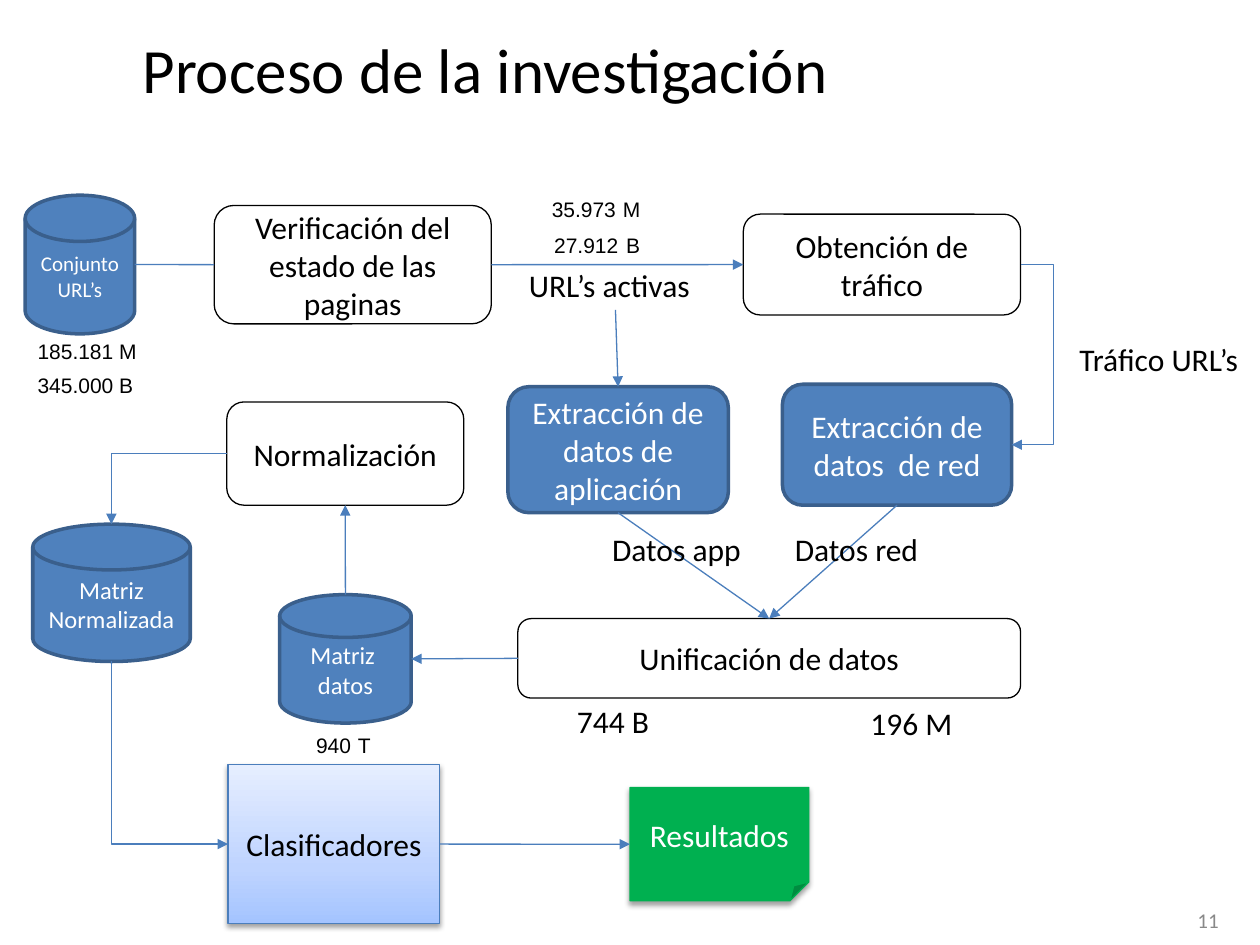
"""Builds the slide that shows the steps of the research process."""
from copy import deepcopy
from dataclasses import dataclass

from lxml.etree import SubElement as Sub
from pptx import Presentation
from pptx.dml.color import RGBColor as Rgb
from pptx.enum.shapes import MSO_CONNECTOR as Path, MSO_SHAPE as Form
from pptx.enum.text import MSO_ANCHOR as Anchor, PP_ALIGN as Align
from pptx.oxml.ns import qn
from pptx.util import Pt

BLACK = Rgb(0, 0, 0)
WHITE = Rgb(255, 255, 255)
GRAY = Rgb(0x89, 0x89, 0x89)
BLUE = Rgb(0x4F, 0x81, 0xBD)
NAVY = Rgb(0x3A, 0x5F, 0x8C)
STEEL = Rgb(0x4B, 0x7E, 0xBC)
GREEN = Rgb(0, 0xB0, 0x50)
FADE = ((0, Rgb(0xA4, 0xC4, 0xFF)), (0.35, Rgb(0xBF, 0xD4, 0xFF)), (1, Rgb(0xE6, 0xEE, 0xFF)))


@dataclass(frozen=True)
class Style:
    form: Form
    fill: Rgb | tuple | None
    edge: Rgb
    width: float
    ink: Rgb
    shade: float = 0


STEP = Style(Form.ROUNDED_RECTANGLE, None, BLACK, 0.75, BLACK)
TASK = Style(Form.ROUNDED_RECTANGLE, BLUE, NAVY, 2, WHITE)
STORE = Style(Form.FLOWCHART_MAGNETIC_DISK, BLUE, NAVY, 2, WHITE)
MODEL = Style(Form.RECTANGLE, FADE, STEEL, 0.75, BLACK, 1.6)
SHEET = Style(Form.FOLDED_CORNER, GREEN, GREEN, 0.75, WHITE, 1.8)


@dataclass(frozen=True)
class Box:
    left: float
    top: float
    width: float
    height: float

    def side(self, name: str) -> tuple[float, float]:
        mid, half = self.left + self.width / 2, self.top + self.height / 2
        return {
            "left": (self.left, half),
            "right": (self.left + self.width, half),
            "top": (mid, self.top),
            "bottom": (mid, self.top + self.height),
        }[name]

    def frame(self) -> list[Pt]:
        return [Pt(n) for n in (self.left, self.top, self.width, self.height)]


@dataclass(frozen=True)
class Node(Box):
    lines: tuple[str, ...]
    style: Style
    size: float = 18


@dataclass(frozen=True)
class Note(Box):
    runs: tuple[tuple[str, float], ...]
    font: str = "Calibri"
    wrap: bool = False
    align: Align = Align.LEFT
    ink: Rgb = BLACK


@dataclass(frozen=True)
class Link:
    start: Box
    out: str
    end: Box
    into: str
    tip: str | None = "tailEnd"
    bend: str | None = None
    bulge: int | None = None


def count(value: str, gap: float, unit: str) -> tuple:
    return ((value, 12), (" ", gap), (unit, 12), (" ", 14))


URLS = Node(14.4, 111.6, 62.6, 79.2, ("Conjunto URL’s",), STORE, 12)
CHECK = Node(122.4, 117.4, 158.4, 67.7, ("Verificación del estado de las paginas",), STEP)
FETCH = Node(424.8, 122.4, 158.4, 57.6, ("Obtención de tráfico",), STEP)
APP = Node(290.2, 221, 126, 72, ("Extracción de datos de aplicación",), TASK)
NET = Node(447.1, 219.6, 131, 69.1, ("Extracción de datos  de red",), TASK)
MERGE = Node(295.9, 353.5, 287.3, 45.4, ("Unificación de datos",), STEP)
DATA = Node(159.8, 339.8, 75.2, 73.4, ("Matriz ", "datos"), STORE, 14)
NORM = Node(129.6, 229.7, 135.4, 59, ("Normalización",), STEP)
GRID = Node(18.7, 299.5, 90, 78.5, ("Matriz Normalizada",), STORE, 14)
CLASS = Node(130.3, 437, 121, 90.7, ("Clasificadores",), MODEL)
RESULT = Node(360, 450, 102.2, 64.8, ("Resultados",), SHEET)
NODES = (URLS, CHECK, FETCH, APP, NET, MERGE, DATA, NORM, GRID, CLASS, RESULT)

LIVE = Note(295.2, 148.3, 113, 28.8, (("URL’s activas", 18),), wrap=True)
NOTES = (
    LIVE,
    Note(609.8, 190.8, 105.8, 28.8, (("Tráfico URL’s", 18),)),
    Note(342.7, 299.5, 89.3, 28.8, (("Datos app", 18),)),
    Note(447.1, 299.5, 85.7, 28.8, (("Datos red", 18),)),
    Note(14.4, 190.1, 74.9, 21.6, (("185.181 M", 12),), "Arial"),
    Note(14.4, 209.5, 72.7, 21.6, (("345.000 B", 12),), "Arial"),
    Note(308.2, 106.6, 71.3, 24.5, count("35.973", 14, "M"), "Arial"),
    Note(309.6, 125.3, 70.6, 26.6, count("27.912", 16, "B"), "Arial"),
    Note(173.5, 413.3, 49.7, 24.5, count("940", 14, "T"), "Arial"),
    Note(490.3, 398.9, 61.9, 28.8, (("196 M", 18),), wrap=True),
    Note(322.6, 397.4, 56.2, 28.8, (("744 B", 18),), wrap=True),
    Note(535.7, 514.8, 167.8, 21.6, (("11", 12),), wrap=True, align=Align.RIGHT, ink=GRAY),
)

LINKS = (
    Link(URLS, "right", CHECK, "left", None),
    Link(CHECK, "right", FETCH, "left"),
    Link(LIVE, "bottom", APP, "top"),
    Link(FETCH, "right", NET, "right", bend="bentConnector3", bulge=-372600),
    Link(APP, "bottom", MERGE, "top"),
    Link(NET, "bottom", MERGE, "top"),
    Link(MERGE, "left", DATA, "right"),
    Link(DATA, "top", NORM, "bottom"),
    Link(NORM, "left", GRID, "top", bend="bentConnector2"),
    Link(CLASS, "left", GRID, "bottom", "headEnd", "bentConnector2"),
    Link(CLASS, "right", RESULT, "left"),
)


def apply(item, form: dict) -> None:
    for key, value in form.items():
        setattr(item, key, value)


def write(para, text: str, size: float, ink: Rgb, font: str = "Calibri") -> None:
    run = para.add_run()
    run.text = text
    apply(run.font, {"size": Pt(size), "name": font})
    run.font.color.rgb = ink


def paint(fill, look: Rgb | tuple | None) -> None:
    if look is None:
        fill.background()
    elif isinstance(look, Rgb):
        fill.solid()
        fill.fore_color.rgb = look
    else:
        fill.gradient()
        fill.gradient_angle = 90
        first = fill.gradient_stops[0]._gs
        first.addnext(deepcopy(first))
        for stop, (place, tint) in zip(fill.gradient_stops, look):
            stop.color.rgb = tint
            stop.position = place


def shade(shape, drop: float) -> None:
    shape.shadow.inherit = False
    if drop:
        root = shape._element.spPr.find(qn("a:effectLst"))
        cast = Sub(root, qn("a:outerShdw"), blurRad=str(Pt(3.1)), dist=str(Pt(drop)),
                   dir="5400000", rotWithShape="0")
        tint = Sub(cast, qn("a:srgbClr"), val=str(BLACK))
        Sub(tint, qn("a:alpha"), val="37000")


def draw_node(shapes, node: Node) -> None:
    style = node.style
    shape = shapes.add_shape(style.form, *node.frame())
    paint(shape.fill, style.fill)
    shape.line.color.rgb = style.edge
    shape.line.width = Pt(style.width)
    shade(shape, style.shade)
    frame = shape.text_frame
    apply(frame, {"word_wrap": True, "vertical_anchor": Anchor.MIDDLE})
    for spot, text in enumerate(node.lines):
        para = frame.add_paragraph() if spot else frame.paragraphs[0]
        para.alignment = Align.CENTER
        write(para, text, node.size, style.ink)


def draw_note(shapes, note: Note) -> None:
    frame = shapes.add_textbox(*note.frame()).text_frame
    frame.word_wrap = note.wrap
    para = frame.paragraphs[0]
    para.alignment = note.align
    for text, size in note.runs:
        write(para, text, size, note.ink, note.font)


def draw_link(shapes, link: Link) -> None:
    ends = link.start.side(link.out) + link.end.side(link.into)
    kind = Path.ELBOW if link.bend else Path.STRAIGHT
    line = shapes.add_connector(kind, *[Pt(n) for n in ends])
    line.line.color.rgb = STEEL
    line.line.width = Pt(0.75)
    prop = line._element.spPr
    if link.bend:
        geom = prop.find(qn("a:prstGeom"))
        geom.set("prst", link.bend)
        if link.bulge:
            Sub(geom.find(qn("a:avLst")), qn("a:gd"), name="adj1", fmla=f"val {link.bulge}")
    if link.tip:
        Sub(prop.find(qn("a:ln")), qn(f"a:{link.tip}"), type="triangle")
    Sub(prop, qn("a:effectLst"))


def main() -> None:
    deck = Presentation()
    apply(deck, {"slide_width": Pt(720), "slide_height": Pt(540)})
    slide = deck.slides.add_slide(deck.slide_layouts[5])
    title = slide.shapes.title
    apply(title, dict(zip(("left", "top", "width", "height"), Box(-28.8, 13.7, 612, 51.1).frame())))
    title.text_frame.vertical_anchor = Anchor.MIDDLE
    para = title.text_frame.paragraphs[0]
    para.alignment = Align.CENTER
    write(para, "Proceso de la investigación", 36, BLACK)
    for draw, items in ((draw_node, NODES), (draw_link, LINKS), (draw_note, NOTES)):
        for item in items:
            draw(slide.shapes, item)
    deck.save("out.pptx")


if __name__ == "__main__":
    main()
